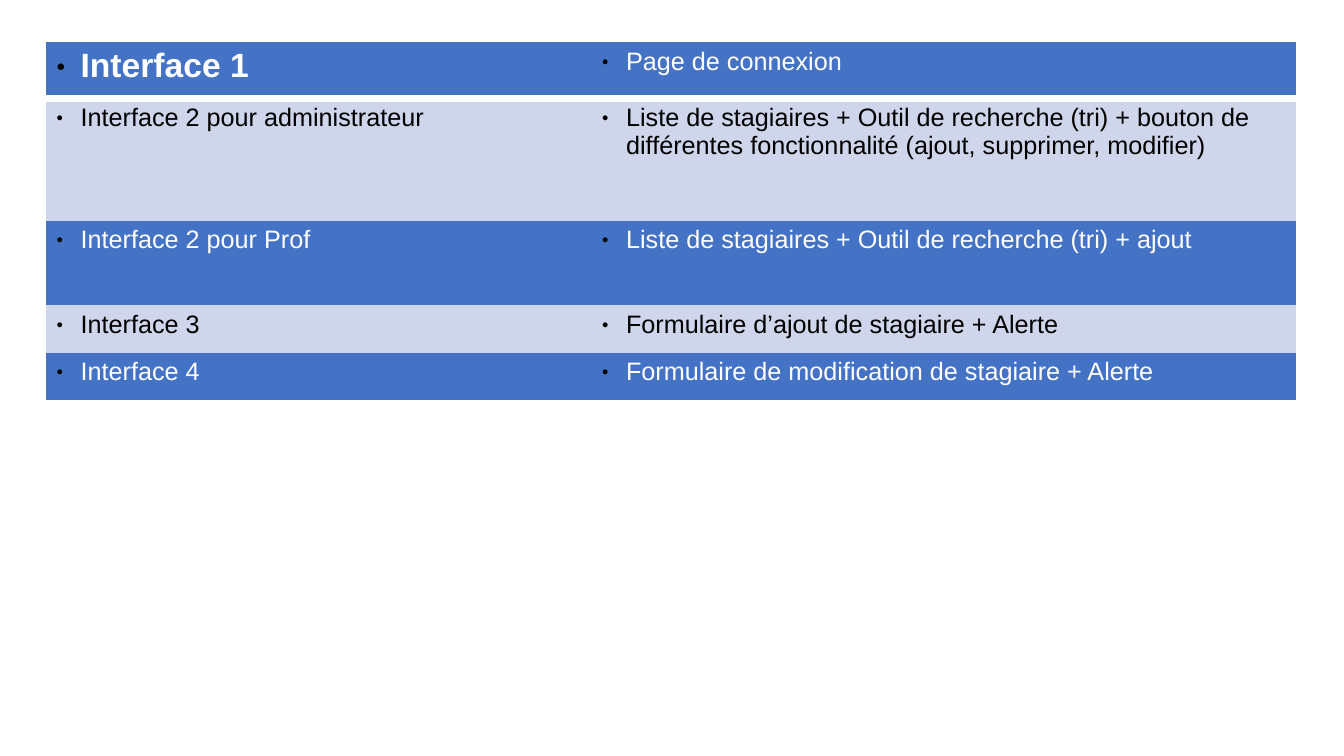
"""Build a slide with a table of the application's interfaces."""
from lxml import etree
from pptx import Presentation
from pptx.dml.color import RGBColor
from pptx.oxml.ns import qn
from pptx.util import Inches, Pt

ROWS = [
    ("Interface 1", "Page de connexion"),
    ("Interface 2 pour administrateur",
     "Liste de stagiaires + Outil de recherche (tri) + bouton de "
     "différentes fonctionnalité (ajout, supprimer, modifier)"),
    ("Interface 2 pour Prof", "Liste de stagiaires + Outil de recherche (tri) + ajout"),
    ("Interface 3", "Formulaire d’ajout de stagiaire + Alerte"),
    ("Interface 4", "Formulaire de modification de stagiaire + Alerte"),
]
COL_WIDTHS = [5.41, 6.98]
ROW_HEIGHTS = [0.56, 1.21, 0.84, 0.47, 0.47]
LEFT, TOP = 0.46, 0.42
BANDS = [("4472C4", "FFFFFF"), ("CFD5EA", "000000")]
TITLE = {"size": Pt(24), "bold": True}
BODY = {"size": Pt(18), "bold": False}
INDENT = Inches(0.24)
RULE = Pt(6)
NO_GRID_STYLE = "{2D5ABB26-0587-4C30-8999-92F81FD0307C}"


def rgb(value):
    return RGBColor.from_string(value)


def add(parent, tag, **attrs):
    return etree.SubElement(parent, qn(tag), {k: str(v) for k, v in attrs.items()})


def add_color(parent, value):
    add(parent, "a:srgbClr", val=value)


def add_bullet(p):
    pPr = p._p.get_or_add_pPr()
    pPr.set("marL", str(INDENT))
    pPr.set("indent", str(-INDENT))
    add_color(add(pPr, "a:buClr"), "000000")
    add(pPr, "a:buSzPct", val=45000)
    add(pPr, "a:buFont", typeface="Arial")
    add(pPr, "a:buChar", char="●")


def add_bottom_rule(cell):
    line = add(cell._tc.get_or_add_tcPr(), "a:lnB", w=RULE)
    add_color(add(line, "a:solidFill"), "FFFFFF")


def fill_cell(cell, text, band, fmt):
    fill, color = band
    cell.fill.solid()
    cell.fill.fore_color.rgb = rgb(fill)
    p = cell.text_frame.paragraphs[0]
    add_bullet(p)
    r = p.add_run()
    r.text = text
    r.font.color.rgb = rgb(color)
    for name, value in {"name": "Arial", **fmt}.items():
        setattr(r.font, name, value)


def main():
    prs = Presentation()
    prs.slide_width, prs.slide_height = Inches(13.33), Inches(7.5)
    s = prs.slides.add_slide(prs.slide_layouts[6])
    table = s.shapes.add_table(
        len(ROWS), len(COL_WIDTHS), Inches(LEFT), Inches(TOP),
        Inches(sum(COL_WIDTHS)), Inches(sum(ROW_HEIGHTS))).table
    table.first_row = table.horz_banding = False
    table._tbl.tblPr.find(qn("a:tableStyleId")).text = NO_GRID_STYLE
    for column, width in zip(table.columns, COL_WIDTHS):
        column.width = Inches(width)
    for i, (row, height, texts) in enumerate(zip(table.rows, ROW_HEIGHTS, ROWS)):
        row.height = Inches(height)
        for j, (cell, text) in enumerate(zip(row.cells, texts)):
            if i == 0:
                add_bottom_rule(cell)
            fill_cell(cell, text, BANDS[i % 2], TITLE if i == j == 0 else BODY)
    prs.save("out.pptx")


if __name__ == "__main__":
    main()
